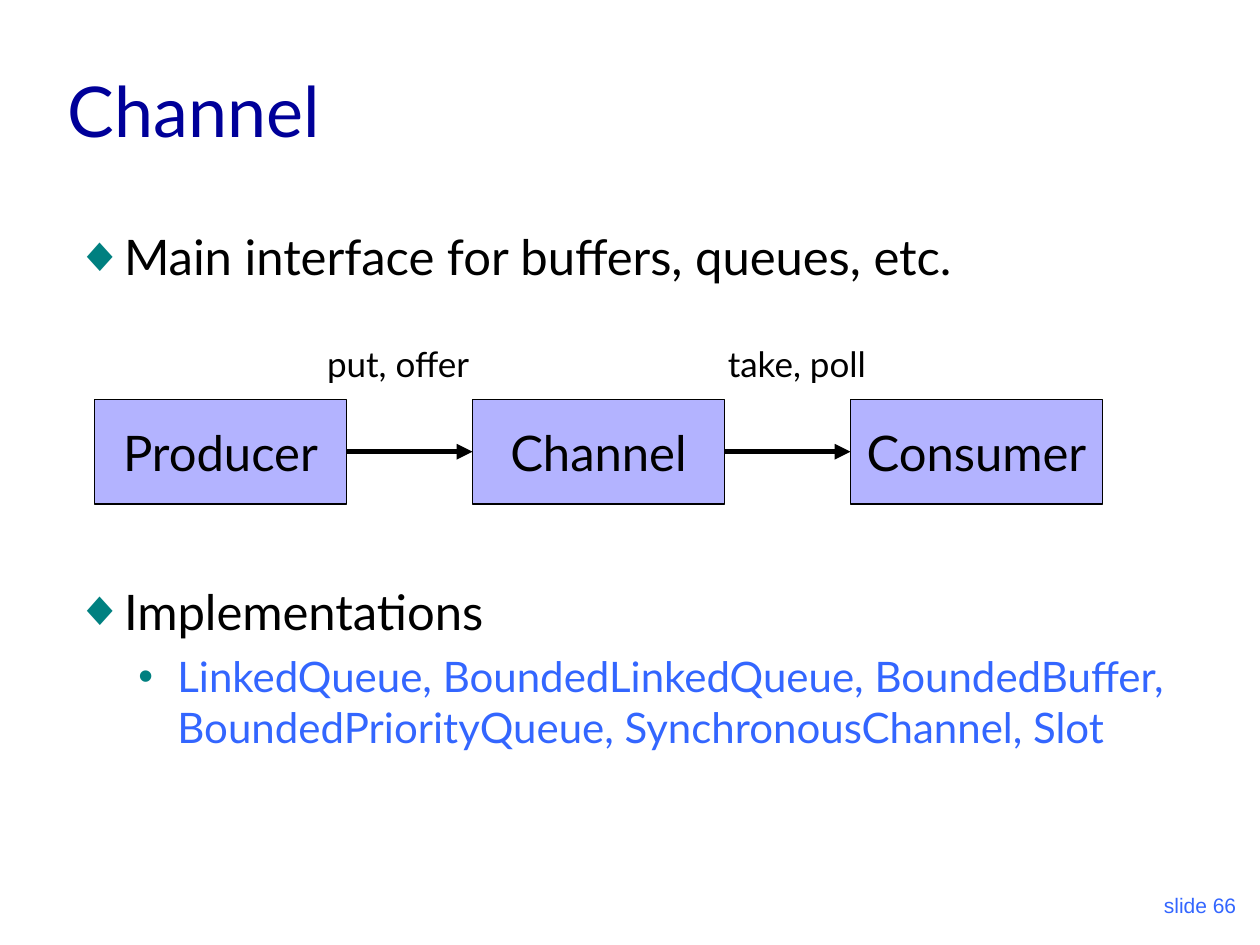
from lxml import etree
from pptx import Presentation
from pptx.dml.color import RGBColor
from pptx.enum.shapes import MSO_CONNECTOR, MSO_SHAPE
from pptx.enum.text import MSO_ANCHOR, PP_ALIGN
from pptx.oxml.ns import qn
from pptx.util import Inches, Pt

BLACK = RGBColor(0x00, 0x00, 0x00)
NAVY = RGBColor(0x00, 0x00, 0x99)
BLUE = RGBColor(0x33, 0x66, 0xFF)
LILAC = RGBColor(0xB3, 0xB3, 0xFF)
TEAL = RGBColor(0x00, 0x80, 0x80)
LEFT, CENTER, RIGHT = PP_ALIGN.LEFT, PP_ALIGN.CENTER, PP_ALIGN.RIGHT
TOP, MIDDLE, BOTTOM = MSO_ANCHOR.TOP, MSO_ANCHOR.MIDDLE, MSO_ANCHOR.BOTTOM
RECTANGLE, STRAIGHT = MSO_SHAPE.RECTANGLE, MSO_CONNECTOR.STRAIGHT

TITLE = "Channel"
FOOTER = "slide 66"
# text, bullet, indent, hanging, space before, size, colour
# The second item leaves room for the diagram above it.
BULLETS = [
    ("Main interface for buffers, queues, etc.", "◆", 0.38, 0.38, 0, 28, BLACK),
    ("Implementations", "◆", 0.38, 0.38, 169, 28, BLACK),
    ("LinkedQueue, BoundedLinkedQueue, BoundedBuffer, "
     "BoundedPriorityQueue, SynchronousChannel, Slot",
     "•", 0.81, 0.31, 6, 24, BLUE),
]
STAGES = ["Producer", "Channel", "Consumer"]
# text, left, width
LABELS = [("put, offer", 2.45, 1.42), ("take, poll", 5.63, 1.39)]

STAGE_LEFT, STAGE_TOP = 0.75, 3.17
STAGE_WIDTH, STAGE_HEIGHT = 2, 0.83
STAGE_GAP = 1
LABEL_TOP, LABEL_HEIGHT = 2.67, 0.44


def add_span(para, text, size, color, font="Lato"):
    span = para.add_run()
    span.text = text
    span.font.name = font
    span.font.size = Pt(size)
    span.font.color.rgb = color


def set_text(box, text, size, color, align=LEFT, anchor=TOP, wrap=True, font="Lato"):
    frame = box.text_frame
    frame.word_wrap = wrap
    frame.vertical_anchor = anchor
    para = frame.paragraphs[0]
    para.alignment = align
    add_span(para, text, size, color, font)


def add_text(slide, place, *args, **options):
    box = slide.shapes.add_textbox(*map(Inches, place))
    set_text(box, *args, **options)


def set_bullet(para, mark, indent, hanging):
    props = para._p.get_or_add_pPr()
    props.set("marL", str(Inches(indent)))
    props.set("indent", str(-Inches(hanging)))
    color = etree.SubElement(props, qn("a:buClr"))
    etree.SubElement(color, qn("a:srgbClr"), val=str(TEAL))
    etree.SubElement(props, qn("a:buFont"), typeface="Arial")
    etree.SubElement(props, qn("a:buChar"), char=mark)


def add_bullets(slide):
    box = slide.shapes.add_textbox(Inches(0.5), Inches(1.75), Inches(8.94), Inches(4.88))
    frame = box.text_frame
    frame.word_wrap = True
    for index, (text, mark, indent, hanging, before, size, color) in enumerate(BULLETS):
        para = frame.add_paragraph() if index else frame.paragraphs[0]
        para.space_before = Pt(before)
        set_bullet(para, mark, indent, hanging)
        add_span(para, text, size, color)


def add_stage(slide, left, name):
    box = slide.shapes.add_shape(RECTANGLE, Inches(left), Inches(STAGE_TOP),
                                 Inches(STAGE_WIDTH), Inches(STAGE_HEIGHT))
    box.shadow.inherit = False
    box.fill.solid()
    box.fill.fore_color.rgb = LILAC
    box.line.color.rgb = BLACK
    box.line.width = Pt(0.75)
    set_text(box, name, 28, BLACK, CENTER, MIDDLE, wrap=False)


def add_arrow(slide, start, end):
    middle = Inches(STAGE_TOP + STAGE_HEIGHT / 2)
    arrow = slide.shapes.add_connector(STRAIGHT, Inches(start), middle, Inches(end), middle)
    arrow.line.color.rgb = BLACK
    arrow.line.width = Pt(3)
    etree.SubElement(arrow.line._get_or_add_ln(), qn("a:tailEnd"), type="triangle")
    etree.SubElement(arrow._element.spPr, qn("a:effectLst"))


def main():
    deck = Presentation()
    deck.slide_width, deck.slide_height = Inches(10), Inches(7.5)
    slide = deck.slides.add_slide(deck.slide_layouts[6])

    add_text(slide, (7.83, 6.83, 2.08, 0.5), FOOTER, 12, BLUE, RIGHT, BOTTOM, font="Arial")
    add_text(slide, (0.44, 0.25, 8.5, 1), TITLE, 40, NAVY, anchor=BOTTOM)
    add_bullets(slide)

    lefts = [STAGE_LEFT + i * (STAGE_WIDTH + STAGE_GAP) for i in range(len(STAGES))]
    for left, name in zip(lefts, STAGES):
        add_stage(slide, left, name)
    for left in lefts[1:]:
        add_arrow(slide, left - STAGE_GAP, left)
    for text, left, width in LABELS:
        add_text(slide, (left, LABEL_TOP, width, LABEL_HEIGHT), text, 20, BLACK,
                 CENTER, wrap=False)

    deck.save("out.pptx")


if __name__ == "__main__":
    main()
